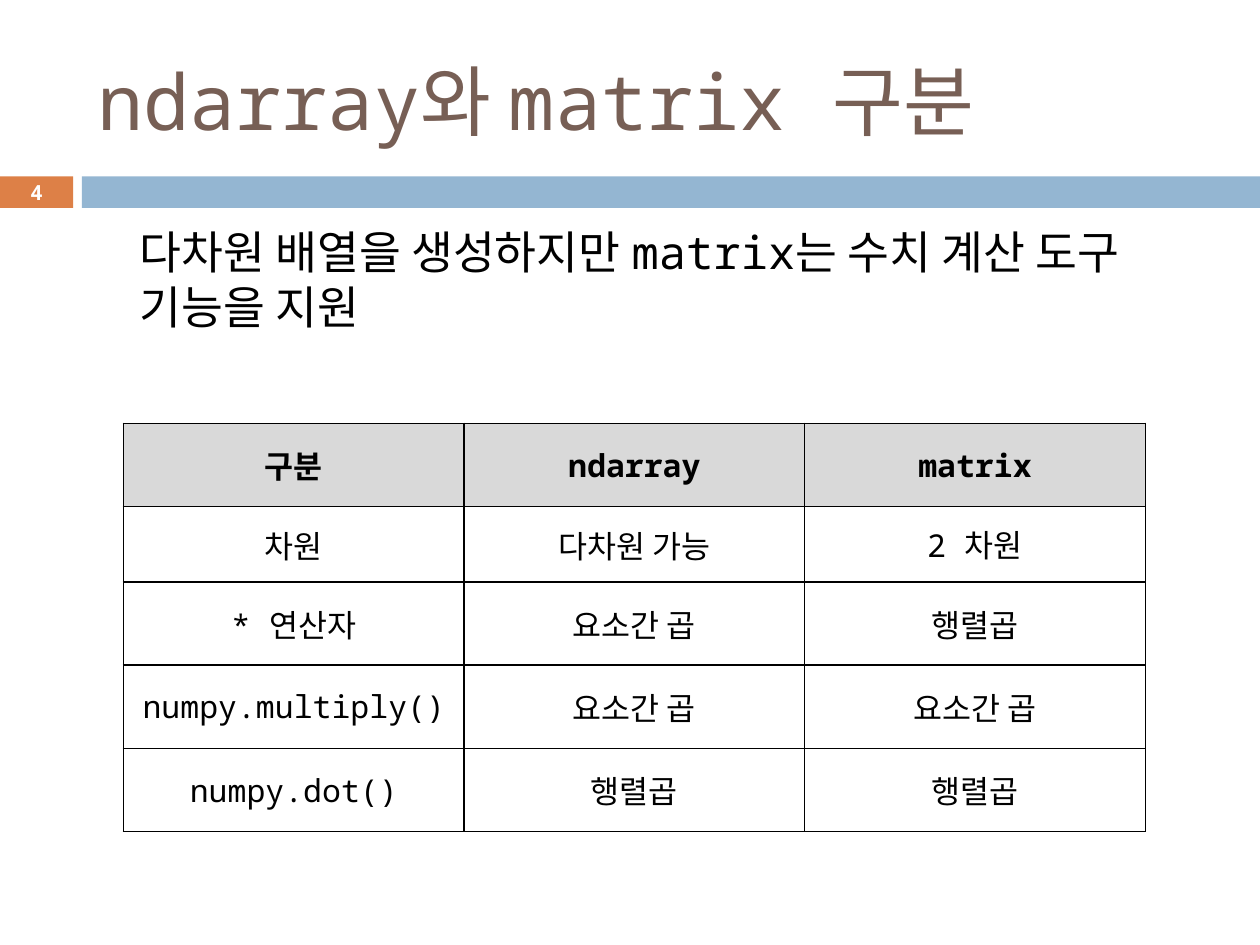
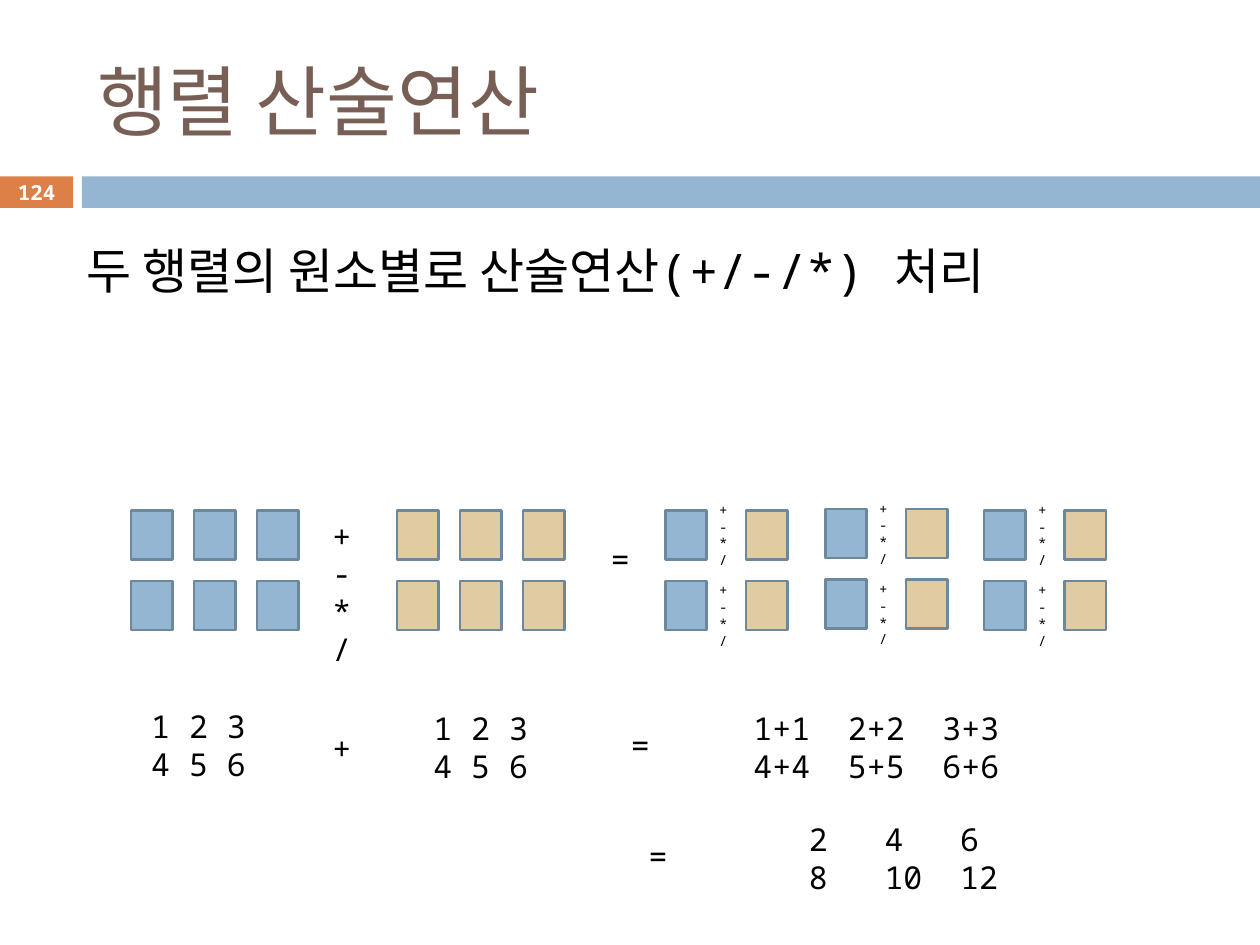
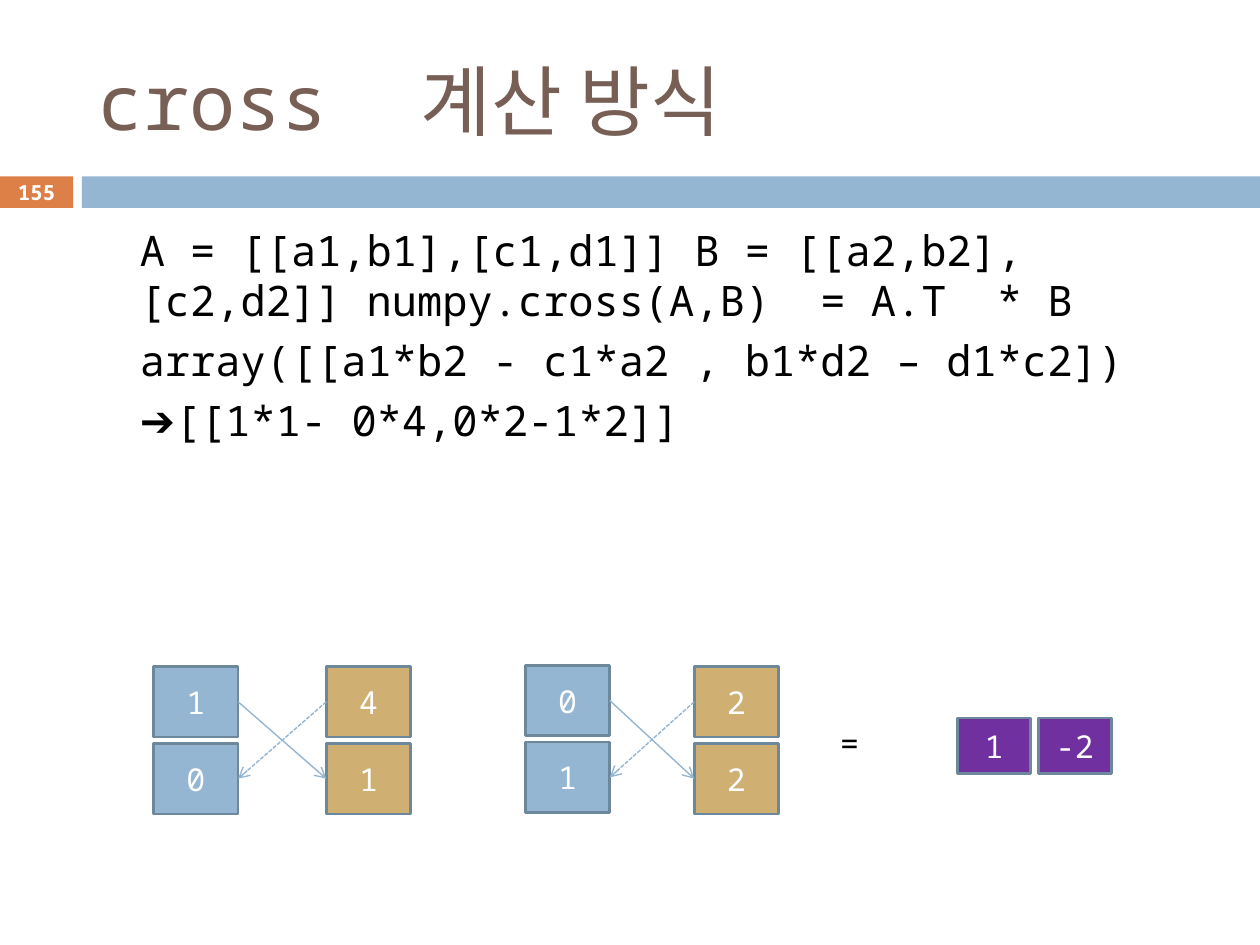
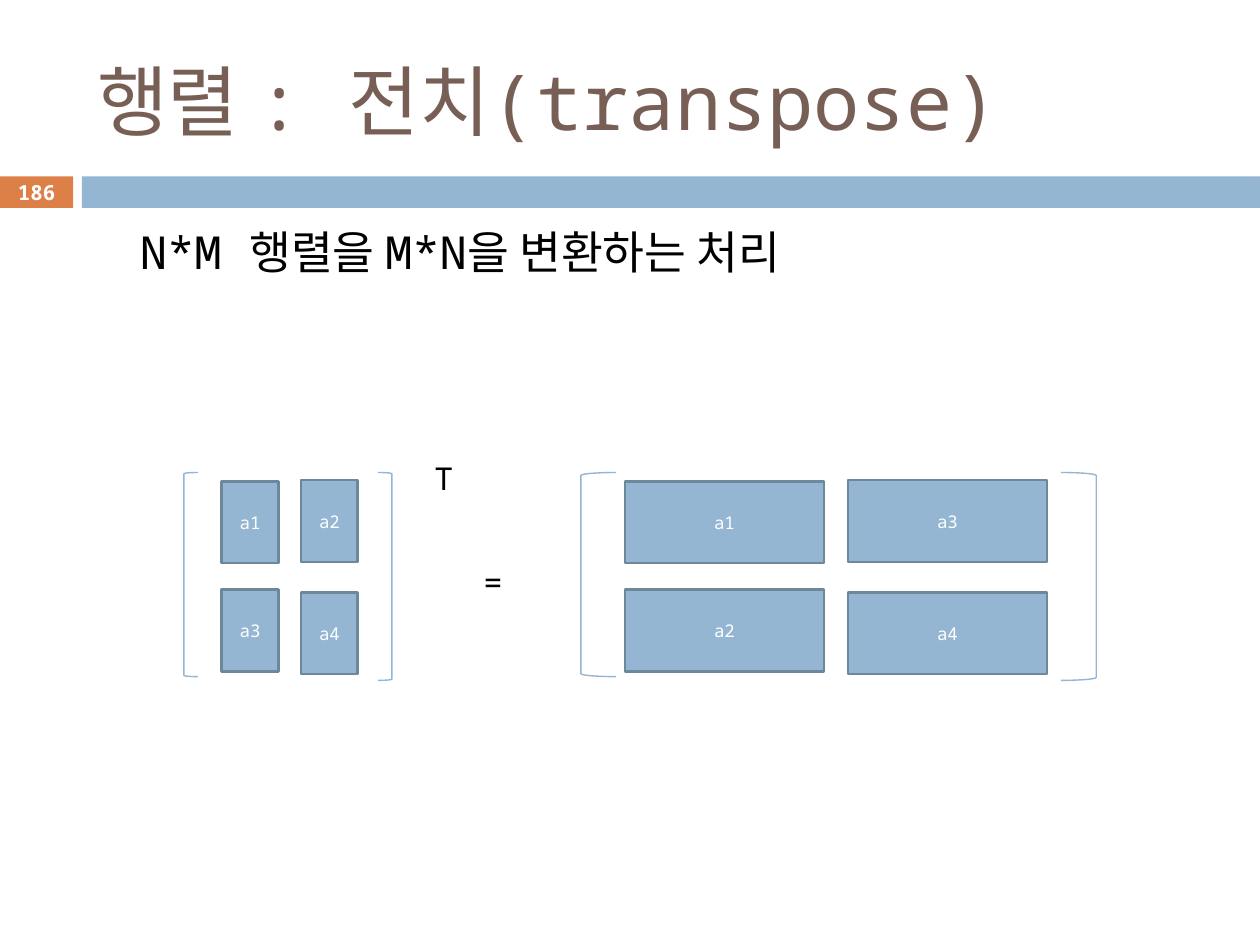
"""Builds four slides on arrays and matrix operations."""
from pptx import Presentation
from pptx.dml.color import RGBColor
from pptx.enum.dml import MSO_LINE
from pptx.enum.shapes import MSO_CONNECTOR, MSO_SHAPE
from pptx.enum.text import MSO_ANCHOR, MSO_AUTO_SIZE, PP_ALIGN
from pptx.oxml.ns import qn
from pptx.util import Inches, Pt
from lxml.etree import SubElement

FONT = "Noto Sans Mono"
BLACK = RGBColor(0x00, 0x00, 0x00)
WHITE = RGBColor(0xFF, 0xFF, 0xFF)
BROWN = RGBColor(0x77, 0x5F, 0x55)
ORANGE = RGBColor(0xDD, 0x80, 0x47)
BLUE = RGBColor(0x94, 0xB6, 0xD2)
SLATE = RGBColor(0x6D, 0x87, 0x9B)
SAND = RGBColor(0xE0, 0xCB, 0xA3)
GOLD = RGBColor(0xD0, 0xAF, 0x72)
PURPLE = RGBColor(0x70, 0x30, 0xA0)
GREY = RGBColor(0xD9, 0xD9, 0xD9)
SIGNS = "+\n-\n*\n/"


def write(frame, text, size=18, color=BLACK, bold=False, align=PP_ALIGN.LEFT,
          anchor=MSO_ANCHOR.TOP, gap=0, tabs=()):
    frame.word_wrap = True
    frame.vertical_anchor = anchor
    for i, line in enumerate(text.split("\n")):
        para = frame.add_paragraph() if i else frame.paragraphs[0]
        para.alignment = align
        para.space_before = Pt(gap if i else 0)
        if tabs:
            stops = SubElement(para._p.get_or_add_pPr(), qn("a:tabLst"))
            for pos in tabs:
                SubElement(stops, qn("a:tab"), pos=str(Inches(pos)), algn="l")
        run = para.add_run()
        run.text = line
        font = run.font
        font.name, font.size, font.bold = FONT, Pt(size), bold
        font.color.rgb = color


class Deck:
    def __init__(self):
        self.show = Presentation()
        self.show.slide_width, self.show.slide_height = Inches(10), Inches(7.5)
        self.layout = self.show.slide_layouts[5]
        for holder in list(self.layout.placeholders):
            if holder.placeholder_format.idx:
                holder.element.getparent().remove(holder.element)
        self.slide = None

    def bands(self):
        tree = self.layout.shapes.element
        for left, width, color in ((0, 0.58, ORANGE), (0.65, 9.35, BLUE)):
            band = self.rect(left, 1.4, width, 0.25, color, edge=None)
            tree.insert(2, band.element)

    def start(self, title, number):
        first = self.slide is None
        self.slide = self.show.slides.add_slide(self.layout)
        if first:
            self.bands()
        head = self.slide.shapes.title
        head.left, head.top = Inches(0.67), Inches(0.25)
        head.width, head.height = Inches(8.92), Inches(1.08)
        head.text_frame.auto_size = MSO_AUTO_SIZE.NONE
        write(head.text_frame, title, size=44, color=BROWN, anchor=MSO_ANCHOR.MIDDLE)
        self.text(0, 1.39, 0.58, 0.27, number, grow=False, size=11.9, color=WHITE,
                  bold=True, align=PP_ALIGN.CENTER, anchor=MSO_ANCHOR.MIDDLE)

    def text(self, left, top, width, height, text, grow=True, inset=0.1, **style):
        box = self.slide.shapes.add_textbox(
            Inches(left), Inches(top), Inches(width), Inches(height))
        frame = box.text_frame
        frame.margin_left = Inches(inset)
        write(frame, text, **style)
        frame.auto_size = MSO_AUTO_SIZE.SHAPE_TO_FIT_TEXT if grow else MSO_AUTO_SIZE.NONE

    def body(self, height, text, size):
        self.text(0.51, 1.73, 9, height, text, grow=False, inset=0.6, size=size, gap=5.5)

    def shape(self, kind, left, top, width, height, fill=None, edge=SLATE, weight=1.5):
        item = self.slide.shapes.add_shape(
            kind, Inches(left), Inches(top), Inches(width), Inches(height))
        item.shadow.inherit = False
        if fill is None:
            item.fill.background()
        else:
            item.fill.solid()
            item.fill.fore_color.rgb = fill
        if edge is None:
            item.line.fill.background()
        else:
            item.line.color.rgb = edge
            item.line.width = Pt(weight)
        return item

    def rect(self, left, top, width, height, fill, label="", size=18, edge=SLATE):
        item = self.shape(MSO_SHAPE.RECTANGLE, left, top, width, height, fill, edge)
        if label:
            write(item.text_frame, label, size=size, color=WHITE,
                  align=PP_ALIGN.CENTER, anchor=MSO_ANCHOR.MIDDLE)
        return item

    def bracket(self, kind, left, width, height):
        self.shape(kind, left, 3.75, width, height, edge=BLUE, weight=0.79)

    def arrow(self, source, begin, target, end, dash=False):
        link = self.slide.shapes.add_connector(MSO_CONNECTOR.STRAIGHT, 0, 0, 0, 0)
        link.begin_connect(source, begin)
        link.end_connect(target, end)
        link.line.color.rgb = BLUE
        link.line.width = Pt(0.79)
        if dash:
            link.line.dash_style = MSO_LINE.SQUARE_DOT
        props = link.element.spPr
        SubElement(props.find(qn("a:ln")), qn("a:tailEnd"), type="arrow")
        SubElement(props, qn("a:effectLst"))

    def table(self, left, top, width, heights, rows):
        frame = self.slide.shapes.add_table(
            len(rows), len(rows[0]), Inches(left), Inches(top),
            Inches(width), Inches(sum(heights)))
        grid = frame.table
        grid.first_row = grid.horz_banding = False
        for r, row in enumerate(rows):
            grid.rows[r].height = Inches(heights[r])
            for c, label in enumerate(row):
                cell = grid.cell(r, c)
                write(cell.text_frame, label, bold=r == 0, align=PP_ALIGN.CENTER)
                cell.vertical_anchor = MSO_ANCHOR.MIDDLE
                self.border(cell)
                if r:
                    cell.fill.background()
                else:
                    cell.fill.solid()
                    cell.fill.fore_color.rgb = GREY

    def border(self, cell):
        props = cell._tc.get_or_add_tcPr()
        for side in ("lnL", "lnR", "lnT", "lnB"):
            line = SubElement(props, qn("a:" + side), w=str(Pt(1)))
            fill = SubElement(line, qn("a:solidFill"))
            SubElement(fill, qn("a:srgbClr"), val=str(BLACK))


def kinds(deck):
    deck.start("ndarray와 matrix 구분", "4")
    deck.body(1.16, "다차원 배열을 생성하지만 matrix는 수치 계산 도구 기능을 지원", 26)
    deck.table(0.98, 3.36, 8.11, (0.66, 0.6, 0.66, 0.66, 0.66), (
        ("구분", "ndarray", "matrix"),
        ("차원", "다차원 가능", "2 차원"),
        ("* 연산자", "요소간 곱", "행렬곱"),
        ("numpy.multiply()", "요소간 곱", "요소간 곱"),
        ("numpy.dot()", "행렬곱", "행렬곱")))


def maths(deck):
    deck.start("행렬 산술연산", "124")
    deck.text(0.59, 1.86, 8.82, 0.57, "두 행렬의 원소별로 산술연산(+/-/*) 처리", size=28)
    for left, color in ((1.04, BLUE), (3.15, SAND)):
        for row in range(2):
            for col in range(3):
                deck.rect(left + 0.5 * col, 4.05 + 0.56 * row, 0.33, 0.39, color)
    for left, top in ((5.28, 4.05), (6.55, 4.04), (7.81, 4.05)):
        for row in range(2):
            for step, color in ((0, BLUE), (0.64, SAND)):
                deck.rect(left + step, top + 0.56 * row, 0.33, 0.39, color)
            deck.text(left + 0.33, top - 0.12 + 0.64 * row, 0.4, 0.64, SIGNS, size=8)
    deck.text(2.54, 4.05, 0.4, 1.31, SIGNS)
    deck.text(2.54, 5.74, 0.4, 0.4, "+")
    for left, top in ((4.75, 4.24), (4.91, 5.71), (5.05, 6.59)):
        deck.text(left, top, 0.33, 0.4, "=")
    for left, top in ((0.79, 5.56), (3.03, 5.58)):
        deck.text(left, top, 1.57, 0.71, "1 2 3\n4 5 6", align=PP_ALIGN.CENTER)
    deck.text(5.75, 5.58, 2.39, 0.71, "1+1\t2+2\t3+3\n4+4\t5+5\t6+6",
              inset=0.23, tabs=(0.75, 1.5))
    deck.text(5.89, 6.46, 2.39, 0.71, "2\t4\t6\n8\t10\t12", inset=0.53, tabs=(0.6, 1.2))


def cross(deck):
    deck.start("cross  계산 방식", "155")
    deck.body(2.64, "A = [[a1,b1],[c1,d1]] B = [[a2,b2],[c2,d2]] numpy.cross(A,B)  = A.T  * B\n"
              "array([[a1*b2 - c1*a2 , b1*d2 – d1*c2])\n"
              "➔[[1*1- 0*4,0*2-1*2]]", 24)
    pairs = (((1.22, 5.29, "10"), (2.59, 5.29, "41")),
             ((4.17, 5.28, "01"), (5.51, 5.29, "22")))
    for pair in pairs:
        (a, c), (b, d) = [
            [deck.rect(left, top + 0.61 * i, 0.67, 0.56, color, label)
             for i, label in enumerate(labels)]
            for (left, top, labels), color in zip(pair, (BLUE, GOLD))]
        deck.arrow(a, 3, d, 1)
        deck.arrow(b, 1, c, 3, dash=True)
    deck.text(6.57, 5.7, 0.24, 0.33, "=")
    for left, label in ((7.6, "1"), (8.24, "-2")):
        deck.rect(left, 5.7, 0.58, 0.44, PURPLE, label)


def flip(deck):
    deck.start("행렬 : 전치(transpose)", "186")
    deck.body(0.92, "N*M 행렬을 M*N을 변환하는 처리", 26)
    spots = (("a1", "a2", "a3", "a4"), (1.76, 2.39), 0.45), \
            (("a1", "a3", "a2", "a4"), (4.96, 6.73), 1.58)
    tops = ((3.82, 3.81), (4.68, 4.7))
    for labels, lefts, width in spots:
        for i, label in enumerate(labels):
            row, col = divmod(i, 2)
            deck.rect(lefts[col], tops[row][col], width, 0.65, BLUE, label, size=10)
    for left, right, width in ((1.46, 3, 0.11), (4.61, 8.42, 0.28)):
        deck.bracket(MSO_SHAPE.LEFT_BRACKET, left, width, 1.62)
        deck.bracket(MSO_SHAPE.RIGHT_BRACKET, right, width, 1.65)
    deck.text(3.74, 4.42, 0.47, 0.4, "=")
    deck.text(3.35, 3.59, 0.63, 0.4, "T")


def main():
    deck = Deck()
    for build in (kinds, maths, cross, flip):
        build(deck)
    deck.show.save("out.pptx")


if __name__ == "__main__":
    main()
